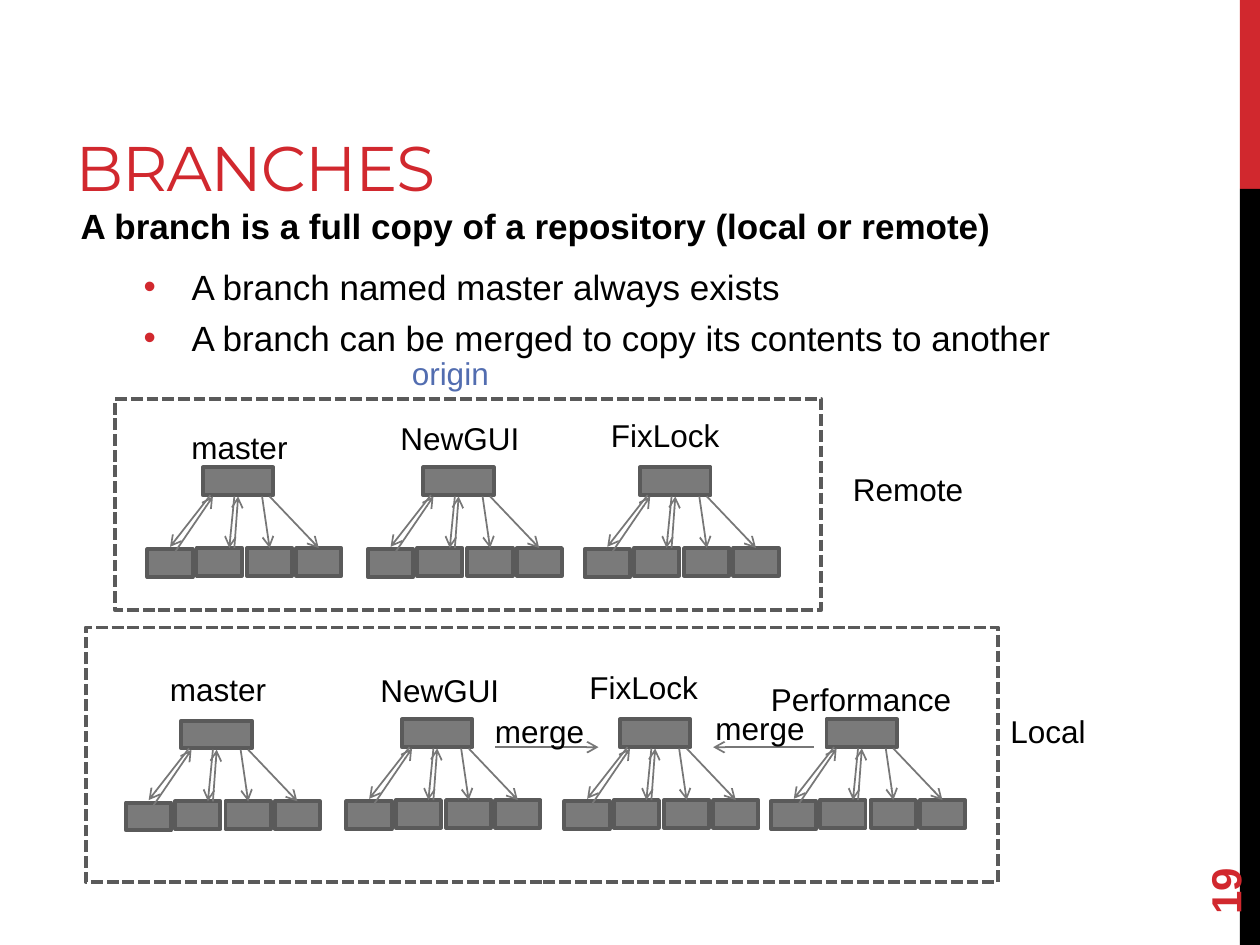
from lxml import etree
from pptx import Presentation
from pptx import util as u
from pptx.dml.color import RGBColor
from pptx.enum import dml, shapes, text
from pptx.oxml.ns import qn

COLORS = {
    "red": "D1282E", "black": "000000", "blue": "526DB0",
    "commit": "7A7A7A", "border": "5A5A5A", "arrow": "777777",
}

# Commit boxes and arrows of one branch, relative to its top left corner.
COMMITS = [(0.44, 0, 0.56), (0, 0.65, 0.36), (0.39, 0.64, 0.36),
           (0.79, 0.64, 0.36), (1.18, 0.64, 0.36)]
COMMIT_HEIGHT = 0.22
ARROWS = [(0.22, 0.67, 0.52, 0.23), (0.5, 0.22, 0.18, 0.63),
          (0.91, 0.23, 0.97, 0.64), (0.97, 0.23, 1.36, 0.64),
          (0.69, 0.23, 0.65, 0.64), (0.69, 0.64, 0.72, 0.23)]

# Name, branch offset in the frame, label offset from the branch, label width.
REMOTE_BRANCHES = [
    ("master", 0.26, 0.54, 0.25, -0.36, 1.08),
    ("NewGUI", 2.01, 0.54, 0.16, -0.43, 1.19),
    ("FixLock", 3.73, 0.54, 0.11, -0.46, 1.19),
]
LOCAL_BRANCHES = [
    ("master", 0.32, 0.74, 0.25, -0.45, 1.08),
    ("NewGUI", 2.07, 0.73, 0.17, -0.43, 1.19),
    ("FixLock", 3.8, 0.73, 0.1, -0.46, 1.19),
    ("Performance", 5.44, 0.73, -0.1, -0.36, 1.73),
]


def color(name):
    """Return the named colour."""
    return RGBColor.from_string(COLORS[name])


def style_font(paragraph, size, name="black", bold=False, face="Arial"):
    """Set the font of a whole paragraph."""
    font = paragraph.font
    font.size, font.bold, font.name = u.Pt(size), bold, face
    font.color.rgb = color(name)


def place(shape, left, top, width, height):
    """Move and size a shape, in inches."""
    shape.left, shape.top = u.Inches(left), u.Inches(top)
    shape.width, shape.height = u.Inches(width), u.Inches(height)


def add_box(parent, left, top, width, height, fill=None, border=None):
    """Add a rectangle with optional fill and border."""
    box = parent.add_shape(shapes.MSO_SHAPE.RECTANGLE, u.Inches(left),
                           u.Inches(top), u.Inches(width), u.Inches(height))
    box.shadow.inherit = False
    if fill:
        box.fill.solid()
        box.fill.fore_color.rgb = color(fill)
    else:
        box.fill.background()
    if border:
        box.line.color.rgb = color(border)
        box.line.width = u.Pt(2.25)
    else:
        box.line.fill.background()
    return box


def add_arrow(parent, x1, y1, x2, y2):
    """Add a thin line with an open arrowhead at its end."""
    arrow = parent.add_connector(
        shapes.MSO_CONNECTOR.STRAIGHT, u.Inches(x1), u.Inches(y1),
        u.Inches(x2), u.Inches(y2))
    arrow.line.color.rgb = color("arrow")
    arrow.line.width = u.Pt(1)
    etree.SubElement(arrow.line._get_or_add_ln(), qn("a:tailEnd"), type="arrow")
    etree.SubElement(arrow._element.spPr, qn("a:effectLst"))


def add_label(slide, words, left, top, width, size=18, name="black", bold=False):
    """Add a one-line text box."""
    label = slide.shapes.add_textbox(u.Inches(left), u.Inches(top),
                                     u.Inches(width), u.Inches(0.4))
    label.text_frame.word_wrap = True
    label.text_frame.text = words
    style_font(label.text_frame.paragraphs[0], size, name, bold)
    return label


def add_branch(slide, left, top):
    """Draw a branch as a group of linked commits."""
    branch = slide.shapes.add_group_shape().shapes
    for dx, dy, width in COMMITS:
        add_box(branch, left + dx, top + dy, width, COMMIT_HEIGHT,
                "commit", "border")
    for x1, y1, x2, y2 in ARROWS:
        add_arrow(branch, left + x1, top + y1, left + x2, top + y2)


def add_repository(slide, left, top, width, height, branches):
    """Draw a dashed repository frame with its named branches."""
    frame = add_box(slide.shapes, left, top, width, height, border="border")
    frame.line.dash_style = dml.MSO_LINE.SQUARE_DOT
    for name, dx, dy, label_dx, label_dy, label_width in branches:
        add_branch(slide, left + dx, top + dy)
        add_label(slide, name, left + dx + label_dx, top + dy + label_dy,
                  label_width)


def add_merge(slide, label_left, label_top, start, end, y):
    """Add a merge arrow and its label."""
    add_arrow(slide.shapes, start, y, end, y)
    add_label(slide, "merge", label_left, label_top, 1)


def add_sidebar(slide, left, top, width, height):
    """Add the two-colour side strip and the page number."""
    red_height = height / 5
    add_box(slide.shapes, left, top, width, red_height, "red")
    add_box(slide.shapes, left, top + red_height, width,
            height - red_height, "black")
    page = add_label(slide, "19", left - 0.84, top + 6.44, 1.44, 24, "red", True)
    page.rotation = 270
    page.text_frame.vertical_anchor = text.MSO_ANCHOR.MIDDLE


def fill_title(title, left, top, width, height):
    """Write the slide title."""
    place(title, left, top, width, height)
    frame = title.text_frame
    frame.text = "BRANCHES"
    frame.auto_size = text.MSO_AUTO_SIZE.NONE
    frame.vertical_anchor = text.MSO_ANCHOR.BOTTOM
    heading = frame.paragraphs[0]
    heading.alignment = text.PP_ALIGN.LEFT
    style_font(heading, 36, "red", face="Montserrat")
    heading.runs[0].font._element.set("spc", "-60")


def fill_body(body, left, top, width, height):
    """Write the definition and its bullets."""
    place(body, left, top, width, height)
    frame = body.text_frame
    frame.text = ("A branch is a full copy of a repository (local or remote)\n"
                  "A branch named master always exists\n"
                  "A branch can be merged to copy its contents to another")
    frame.auto_size = text.MSO_AUTO_SIZE.NONE
    for index, point in enumerate(frame.paragraphs):
        is_bullet = index > 0
        point.level = int(is_bullet)
        point.space_before = u.Pt(5)
        point.space_after = u.Pt(0 if is_bullet else 6)
        props = point._p.get_or_add_pPr()
        props.set("marL", str(u.Inches(0.88 if is_bullet else 0)))
        props.set("indent", str(u.Inches(-0.38 if is_bullet else 0)))
        if is_bullet:
            tint = etree.SubElement(props, qn("a:buClr"))
            etree.SubElement(tint, qn("a:srgbClr"), val=COLORS["red"])
            etree.SubElement(props, qn("a:buFont"), typeface="Arial")
            etree.SubElement(props, qn("a:buChar"), char="\u2022")
        else:
            etree.SubElement(props, qn("a:buNone"))
        style_font(point, 20, bold=not is_bullet)


def build_branches_slide(deck):
    """Build the slide on branches."""
    slide = deck.slides.add_slide(deck.slide_layouts[1])
    add_sidebar(slide, 9.84, 0, 0.16, 7.5)
    fill_title(slide.shapes.title, 0.5, 0.17, 6.33, 1.5)
    fill_body(slide.placeholders[1], 0.54, 1.57, 8.33, 4.78)
    add_repository(slide, 0.91, 3.17, 5.61, 1.67, REMOTE_BRANCHES)
    add_label(slide, "Remote", 6.67, 3.68, 1.08)
    add_label(slide, "origin", 3.17, 2.76, 1.03, name="blue")
    add_repository(slide, 0.68, 4.98, 7.24, 2.02, LOCAL_BRANCHES)
    add_label(slide, "Local", 7.92, 5.6, 1.08)
    add_merge(slide, 5.58, 5.58, 6.46, 5.66, 5.93)
    add_merge(slide, 3.83, 5.6, 3.93, 4.75, 5.93)


deck = Presentation()
deck.slide_width, deck.slide_height = u.Inches(10), u.Inches(7.5)
build_branches_slide(deck)
deck.save("out.pptx")
